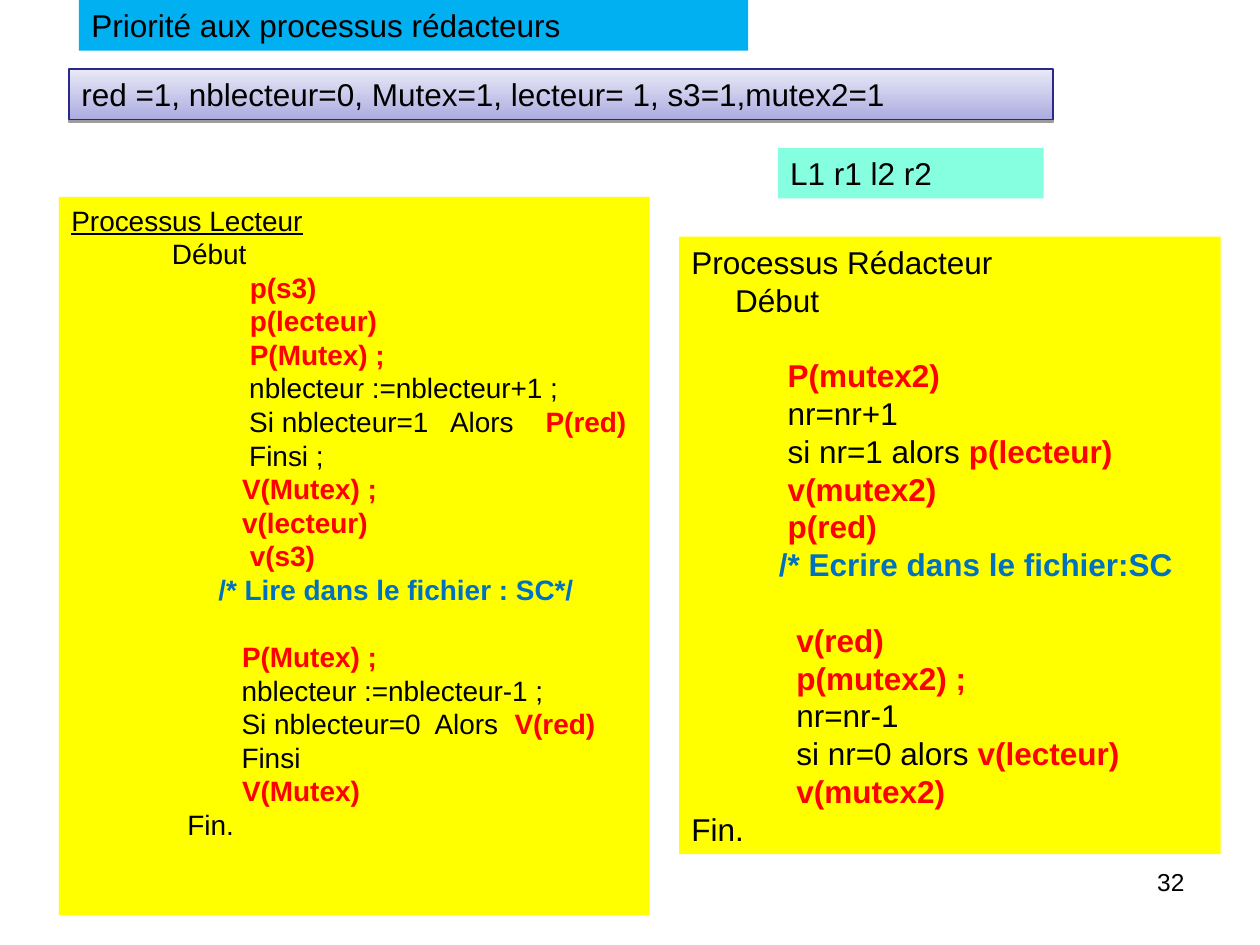
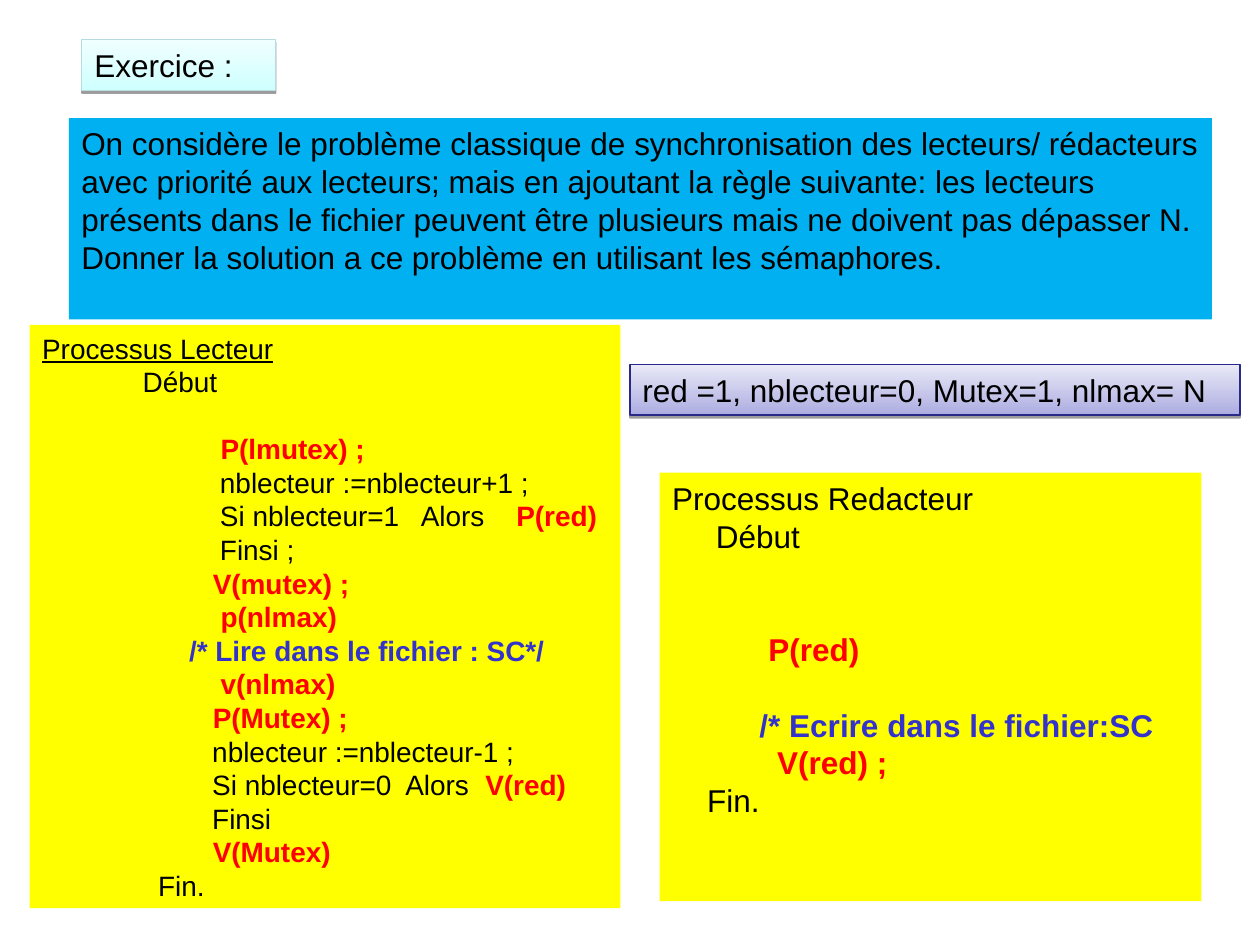
from dataclasses import dataclass

from lxml.etree import SubElement
from pptx import Presentation
from pptx.dml.color import RGBColor
from pptx.enum.shapes import MSO_SHAPE
from pptx.enum.text import MSO_ANCHOR, MSO_AUTO_SIZE, PP_ALIGN
from pptx.oxml.ns import qn
from pptx.util import Cm, Pt


@dataclass(frozen=True)
class Theme:
    font: str = "Arial"
    body_size: int = 18
    code_size: int = 16
    number_size: int = 14
    line_ratio: float = 1.2
    text: str = "000000"
    semaphore: str = "FF0000"
    comment_blue: str = "0070C0"
    comment_indigo: str = "3333CC"
    code_fill: str = "FFFF00"
    banner_fill: str = "00B0F0"
    mint_fill: str = "85FFE0"
    lavender: tuple = ("E9E9F7", "ACACE1", "292989")
    ice: tuple = ("F0FFFF", "CFFFFF", "B6DCDF")


THEME = Theme()
BAR_HEIGHT = 1.02
READER_WIDTH = 11.91
WRITER_WIDTH = 10.92

READER_START = ["Processus Lecteur", "             Début"]
READER_ENTRY = [
    "                       nblecteur :=nblecteur+1 ;",
    "                       Si nblecteur=1   Alors    |P(red)",
    "                       Finsi ;",
]
READ_FILE = "                   /* Lire dans le fichier : SC*/"
READER_EXIT = [
    "                      |P(Mutex) ;",
    "                      nblecteur :=nblecteur-1 ;",
    "                      Si nblecteur=0  Alors  |V(red)",
    "                      Finsi",
    "                      |V(Mutex)",
    "               Fin.",
]
WRITE_FILE = "          /* Ecrire dans le fichier:SC"

PRIORITY_READER = [
    *READER_START,
    "                       |p(s3)",
    "                       |p(lecteur)",
    "                       |P(Mutex) ;",
    *READER_ENTRY,
    "                      |V(Mutex) ;",
    "                      |v(lecteur)",
    "                       |v(s3)",
    READ_FILE,
    "",
    *READER_EXIT,
]
PRIORITY_WRITER = [
    "Processus Rédacteur",
    "     Début",
    "",
    "           |P(mutex2)",
    "           nr=nr+1",
    "           si nr=1 alors |p(lecteur)",
    "           |v(mutex2)",
    "           |p(red)",
    WRITE_FILE,
    "",
    "            |v(red)",
    "            |p(mutex2) ;",
    "            nr=nr-1",
    "            si nr=0 alors |v(lecteur)",
    "            |v(mutex2)",
    "Fin.",
]
EXERCISE_READER = [
    *READER_START,
    "",
    "                       |P(lmutex) ;",
    *READER_ENTRY,
    "                      |V(mutex) ;",
    "                       |p(nlmax)",
    READ_FILE,
    "                       |v(nlmax)",
    *READER_EXIT,
]
EXERCISE_WRITER = [
    "Processus Redacteur",
    "     Début",
    "",
    "",
    "           |P(red)",
    "",
    WRITE_FILE,
    "            |V(red) ;",
    "    Fin.",
]
EXERCISE_STATEMENT = [
    "On considère le problème classique de synchronisation des lecteurs/ rédacteurs "
    "avec priorité aux lecteurs; mais en ajoutant la règle suivante: les lecteurs "
    "présents dans le fichier peuvent être plusieurs mais ne doivent pas dépasser N.",
    "Donner la solution a ce problème en utilisant les sémaphores.",
]


def color(value):
    return RGBColor.from_string(value)


def place(shape, left, top, width, height):
    shape.left, shape.top = Cm(left), Cm(top)
    shape.width, shape.height = Cm(width), Cm(height)


def fill_solid(shape, value):
    shape.shadow.inherit = False
    shape.fill.solid()
    shape.fill.fore_color.rgb = color(value)
    shape.line.fill.background()


def fill_raised(shape, colors):
    start, end, outline = colors
    shape.fill.gradient()
    shape.fill.gradient_angle = 270
    for stop, value in zip(shape.fill.gradient_stops, (start, end)):
        stop.color.rgb = color(value)
    shape.line.color.rgb = color(outline)
    shape.line.width = Pt(0.75)
    shape.shadow.inherit = False
    effects = shape._element.spPr.find(qn("a:effectLst"))
    shadow = SubElement(effects, qn("a:outerShdw"), dist="20000", dir="5400000", rotWithShape="0")
    shade = SubElement(shadow, qn("a:srgbClr"), val="000000")
    SubElement(shade, qn("a:alpha"), val="38000")


def prepare_frame(shape):
    frame = shape.text_frame
    frame.word_wrap = True
    frame.auto_size = MSO_AUTO_SIZE.NONE
    frame.vertical_anchor = MSO_ANCHOR.TOP
    return frame


def format_paragraph(paragraph, size, alignment=PP_ALIGN.LEFT):
    paragraph.alignment = alignment
    paragraph.line_spacing = Pt(size * THEME.line_ratio)
    paragraph.space_before = Pt(0)
    paragraph.font.name = THEME.font
    paragraph.font.size = Pt(size)
    paragraph.font.bold = False
    paragraph.font.color.rgb = color(THEME.text)


def write_lines(shape, lines, size=THEME.body_size, alignment=PP_ALIGN.LEFT):
    frame = prepare_frame(shape)
    for index, line in enumerate(lines):
        paragraph = frame.add_paragraph() if index else frame.paragraphs[0]
        paragraph.text = line
        format_paragraph(paragraph, size, alignment)


def add_title(slide, text, *bounds):
    title = slide.shapes.title
    place(title, *bounds)
    write_lines(title, [text])
    return title


def add_rectangle(slide, *bounds):
    return slide.shapes.add_shape(MSO_SHAPE.RECTANGLE, *map(Cm, bounds))


def add_banner(slide, lines, fill, *bounds):
    banner = add_rectangle(slide, *bounds)
    fill_solid(banner, fill)
    write_lines(banner, lines)


def add_initial_values(slide, text, *bounds):
    bar = add_rectangle(slide, *bounds)
    fill_raised(bar, THEME.lavender)
    write_lines(bar, [text])


def add_code(slide, lines, size, comment_color, *bounds, underline_heading=False):
    panel = add_rectangle(slide, *bounds)
    fill_solid(panel, THEME.code_fill)
    frame = prepare_frame(panel)
    paragraph, skipped = frame.paragraphs[0], 0
    for index, line in enumerate(lines):
        if not line:
            skipped += 1
            continue
        if index:
            paragraph = frame.add_paragraph()
        format_paragraph(paragraph, size)
        paragraph.space_before = Pt(skipped * size * THEME.line_ratio)
        skipped = 0
        plain, _, semaphore = line.partition("|")
        run = paragraph.add_run()
        run.text = plain
        if "/*" in plain:
            paragraph.font.bold = True
            paragraph.font.color.rgb = color(comment_color)
        if semaphore:
            run = paragraph.add_run()
            run.text = semaphore
            run.font.bold = True
            run.font.color.rgb = color(THEME.semaphore)
    frame.paragraphs[0].font.underline = underline_heading


def add_slide_number(slide, number):
    box = slide.shapes.add_textbox(Cm(18.21), Cm(17.35), Cm(5.92), Cm(1.32))
    write_lines(box, [str(number)], THEME.number_size, PP_ALIGN.RIGHT)


def build_priority_slide(slide):
    title = add_title(slide, "Priorité aux processus rédacteurs", 1.59, 0, 13.49, BAR_HEIGHT)
    fill_solid(title, THEME.banner_fill)
    add_initial_values(slide, "red =1, nblecteur=0, Mutex=1, lecteur= 1, s3=1,mutex2=1",
                       1.39, 1.39, 19.84, BAR_HEIGHT)
    add_banner(slide, ["L1 r1 l2 r2"], THEME.mint_fill, 15.68, 2.98, 5.36, BAR_HEIGHT)
    add_code(slide, PRIORITY_READER, THEME.code_size, THEME.comment_blue,
             1.19, 3.97, READER_WIDTH, 14.48, underline_heading=True)
    add_code(slide, PRIORITY_WRITER, THEME.body_size, THEME.comment_blue,
             13.69, 4.77, WRITER_WIDTH, 12.45)
    add_slide_number(slide, 32)


def build_exercise_slide(slide):
    title = add_title(slide, "Exercice :", 1.65, 0.8, 3.91, BAR_HEIGHT)
    fill_raised(title, THEME.ice)
    add_banner(slide, EXERCISE_STATEMENT, THEME.banner_fill, 1.39, 2.38, 23.04, 4.06)
    add_initial_values(slide, "red =1, nblecteur=0, Mutex=1, nlmax= N",
                       12.7, 7.35, 12.3, BAR_HEIGHT)
    add_code(slide, EXERCISE_READER, THEME.code_size, THEME.comment_indigo,
             0.6, 6.55, READER_WIDTH, 11.76, underline_heading=True)
    add_code(slide, EXERCISE_WRITER, THEME.body_size, THEME.comment_indigo,
             13.3, 9.53, WRITER_WIDTH, 8.64)


def main():
    presentation = Presentation()
    presentation.slide_width, presentation.slide_height = Cm(25.4), Cm(19.05)
    title_only = presentation.slide_layouts[5]
    for build in (build_priority_slide, build_exercise_slide):
        build(presentation.slides.add_slide(title_only))
    presentation.save("out.pptx")


if __name__ == "__main__":
    main()
